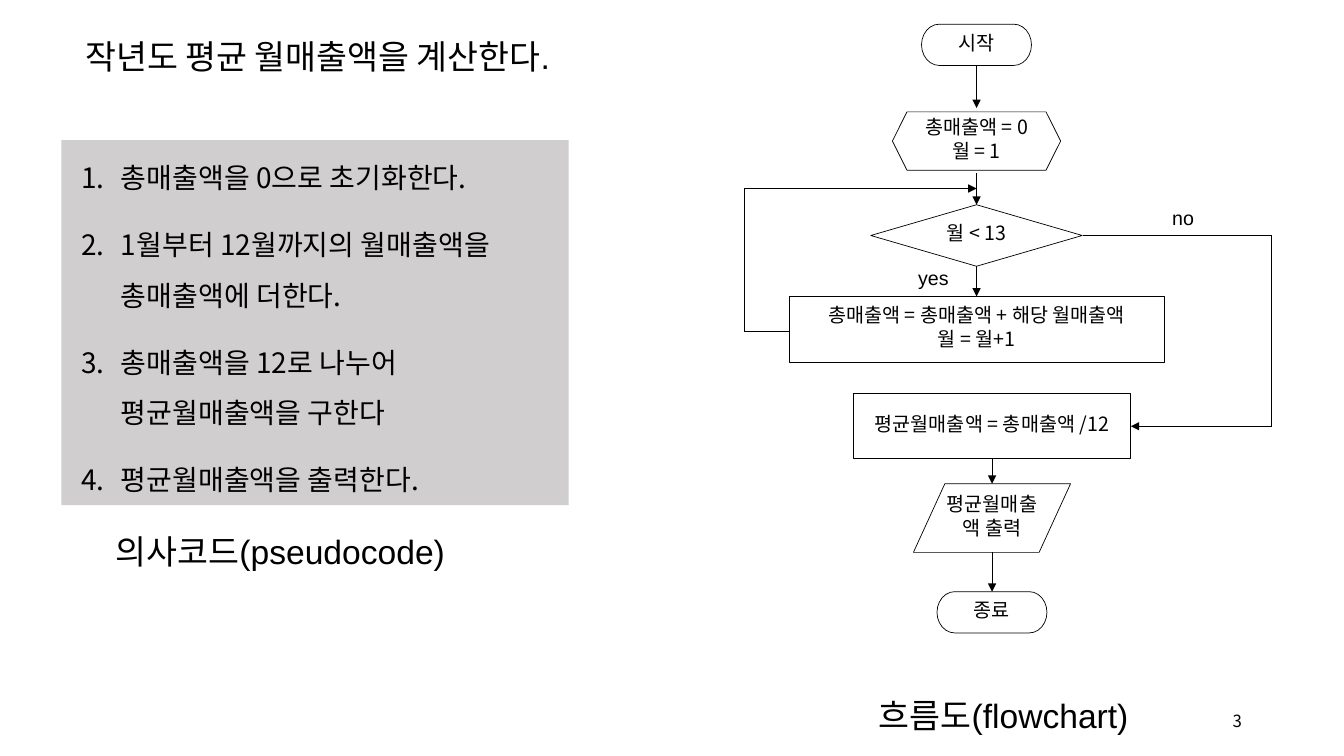
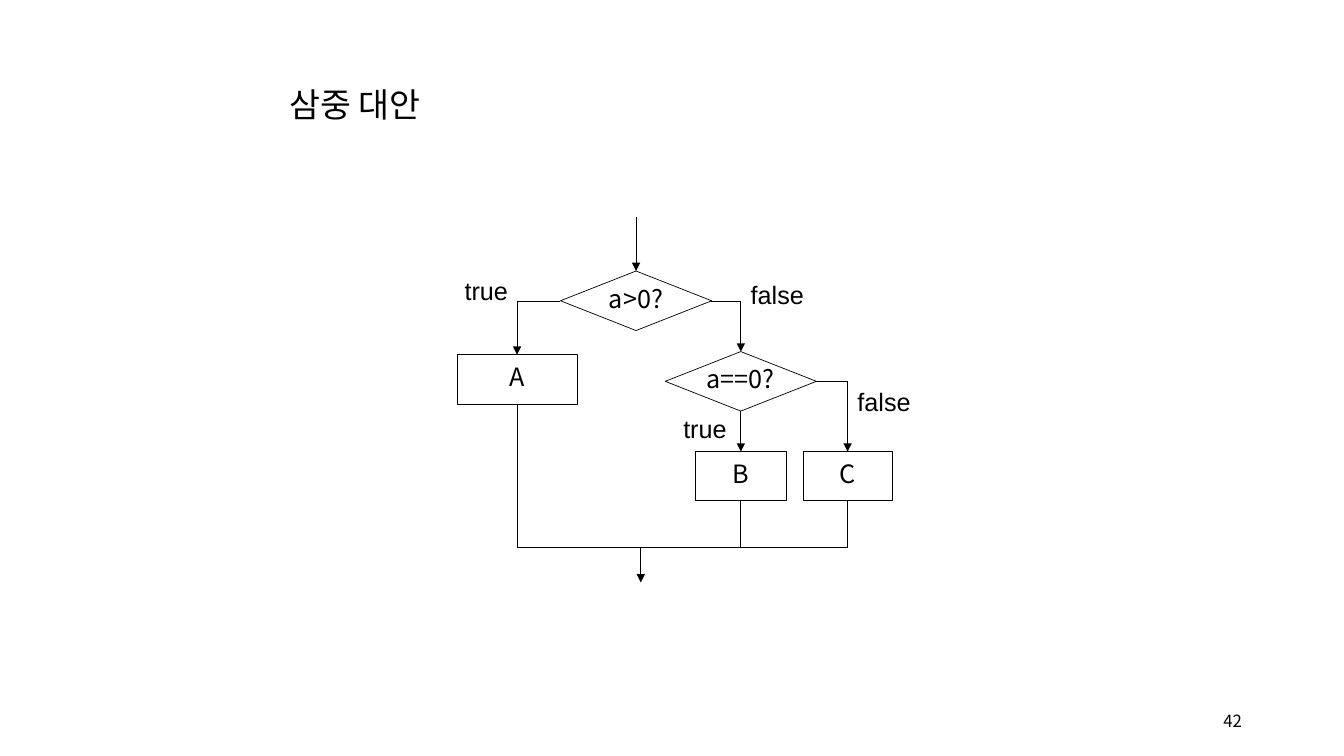
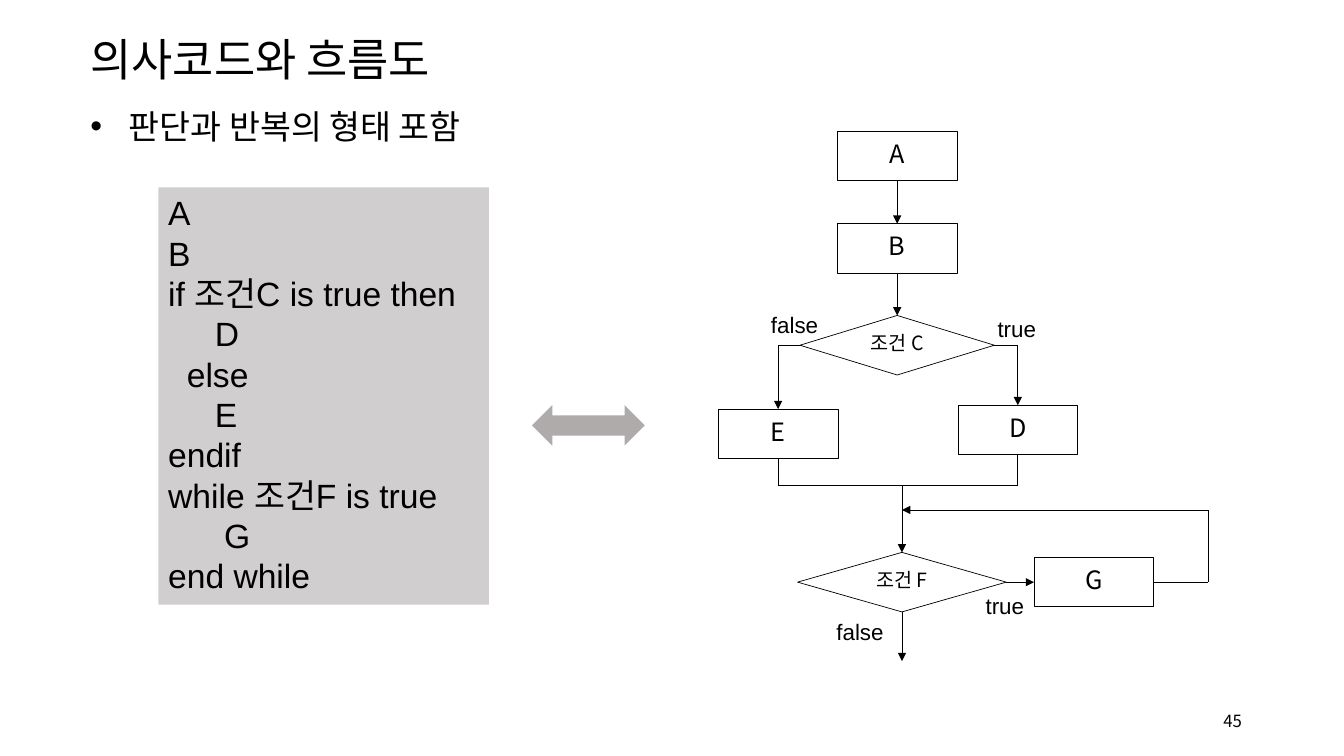
"""Build three slides on pseudocode and flowcharts."""
from itertools import pairwise

from lxml.etree import SubElement as Sub
from pptx import Presentation as Deck
from pptx.dml.color import RGBColor as Rgb
from pptx.enum.shapes import MSO_CONNECTOR as Link, MSO_SHAPE as Kind
from pptx.enum.text import MSO_ANCHOR as Anchor, MSO_AUTO_SIZE as Auto, PP_ALIGN as Align
from pptx.oxml.ns import qn
from pptx.util import Cm, Pt

BLACK = Rgb(0, 0, 0)
PALE = Rgb(0xD0, 0xCE, 0xCE)
GRAY = Rgb(0xAF, 0xAB, 0xAB)
ARIAL = "Arial"
NOTO = "Noto Sans CJK KR"
THIN = Pt(0.5)
TIGHT = dict(margin_left=0, margin_top=0, margin_right=0, margin_bottom=Cm(0.13),
             vertical_anchor=Anchor.MIDDLE, word_wrap=True)
LOOSE = dict(word_wrap=False, auto_size=Auto.SHAPE_TO_FIT_TEXT, vertical_anchor=Anchor.TOP)
STEPS = """총매출액을 0으로 초기화한다.
1월부터 12월까지의 월매출액을 총매출액에 더한다.
총매출액을 12로 나누어 평균월매출액을 구한다
평균월매출액을 출력한다."""
CODE = """A
B
if 조건C is true then
     D
  else
     E
endif
while 조건F is true
      G
end while"""


def fmt(item, **vals):
    """Set each named value on the item."""
    for name, val in vals.items():
        setattr(item, name, val)


def mark(para, left, hang, tag, **vals):
    """Give the paragraph a bullet or number with a hanging indent."""
    prop = para._p.get_or_add_pPr()
    prop.set("marL", str(Cm(left)))
    prop.set("indent", str(-Cm(hang)))
    Sub(prop, qn("a:buFont"), typeface=ARIAL)
    Sub(prop, qn(tag), **vals)


def put(frame, text, size, face, gap=None, **form):
    """Add the lines of text as paragraphs and return them."""
    paras = []
    for line in text.split("\n"):
        if frame.text:
            para = frame.add_paragraph()
            para.space_before = gap
        else:
            para = frame.paragraphs[0]
        fmt(para, **form)
        run = para.add_run()
        run.text = line
        fmt(run.font, size=Pt(size), name=face)
        run.font.color.rgb = BLACK
        Sub(run._r.get_or_add_rPr(), qn("a:ea"), typeface=NOTO)
        paras.append(para)
    return paras


def label(page, x, y, wide, high, text, size):
    """Add an unwrapped text box and return its frame."""
    frame = page.shapes.add_textbox(*map(Cm, (x, y, wide, high))).text_frame
    fmt(frame, **LOOSE)
    put(frame, text, size, ARIAL, line_spacing=1.5)
    return frame


def block(page, kind, x, y, wide, high, fill=None):
    """Add a filled shape without a line, or an outlined one without a fill."""
    shape = page.shapes.add_shape(kind, *map(Cm, (x, y, wide, high)))
    shape.shadow.inherit = False
    if fill:
        shape.fill.solid()
        shape.fill.fore_color.rgb = fill
        shape.line.fill.background()
    else:
        shape.fill.background()
        shape.line.color.rgb = BLACK
        shape.line.width = THIN
    return shape


def node(page, kind, mid, y, wide, high, text, size=14):
    """Add a flowchart node centred on the axis mid."""
    frame = block(page, kind, mid - wide / 2, y, wide, high).text_frame
    fmt(frame, **TIGHT)
    put(frame, text, size, NOTO, alignment=Align.CENTER)


def box(page, mid, y, text, wide=3.02):
    """Add a plain step box."""
    node(page, Kind.RECTANGLE, mid, y, wide, 1.24, text, 18)


def route(page, *stops, tip=True):
    """Join the stops with straight lines, the last one with an arrowhead."""
    for start, end in pairwise(stops):
        link = page.shapes.add_connector(Link.STRAIGHT, *map(Cm, (*start, *end)))
        link.line.color.rgb = BLACK
        link.line.width = THIN
        prop = link._element.spPr
        if tip and end == stops[-1]:
            Sub(prop.find(qn("a:ln")), qn("a:tailEnd"), type="triangle")
        Sub(prop, qn("a:effectLst"))


def down(page, x, *spans):
    """Draw downward arrows on the axis x."""
    for top, end in spans:
        route(page, (x, top), (x, end))


def start(deck, num):
    """Add a blank slide with its page number."""
    page = deck.slides.add_slide(deck.slide_layouts[6])
    frame = page.shapes.add_textbox(*map(Cm, (30.33, 17.65, 1.22, 1.02))).text_frame
    fmt(frame, word_wrap=True, vertical_anchor=Anchor.MIDDLE)
    put(frame, num, 12, NOTO, alignment=Align.RIGHT)
    return page


def sales(deck):
    """Build the monthly sales slide."""
    page = start(deck, "3")
    label(page, 1.9, 0.28, 13.67, 1.8, "작년도 평균 월매출액을 계산한다.", 24)
    label(page, 2.67, 12.75, 9.17, 1.8, "의사코드(pseudocode)", 24)
    label(page, 21.9, 16.87, 7.06, 1.8, "흐름도(flowchart)", 24)
    frame = block(page, Kind.RECTANGLE, 1.55, 3.53, 12.78, 9.2, PALE).text_frame
    fmt(frame, **TIGHT)
    for para in put(frame, STEPS, 20, NOTO, Pt(12), line_spacing=1.5, alignment=Align.LEFT):
        mark(para, 1.5, 1, "a:buAutoNum", type="arabicPeriod")

    main_x, out_x = 24.61, 25
    for spot in (
        (Kind.FLOWCHART_TERMINATOR, main_x, 0.61, 2.77, 1.04, "시작"),
        (Kind.HEXAGON, main_x, 2.82, 4.24, 1.47, "총매출액 = 0\n월 = 1"),
        (Kind.FLOWCHART_DECISION, main_x, 5.16, 5.33, 1.55, "월 < 13"),
        (Kind.FLOWCHART_PROCESS, main_x, 7.47, 9.45, 1.65,
         "총매출액 = 총매출액 + 해당 월매출액\n월 = 월+1"),
        (Kind.FLOWCHART_PROCESS, out_x, 9.91, 6.99, 1.65, "평균월매출액 = 총매출액 /12"),
        (Kind.FLOWCHART_DATA, out_x, 12.19, 3.96, 1.73, "평균월매출액 출력"),
        (Kind.FLOWCHART_TERMINATOR, out_x, 14.91, 2.77, 1.04, "종료"),
    ):
        node(page, *spot)
    down(page, main_x, (1.65, 2.72), (4.37, 5.16), (6.71, 7.47))
    down(page, out_x, (11.56, 12.19), (13.92, 14.91))
    route(page, (27.28, 5.93), (32.05, 5.93), (32.05, 10.74), (28.5, 10.74))
    route(page, (19.89, 8.35), (18.75, 8.35), (18.75, 4.75), (main_x, 4.75))
    label(page, 22.89, 6.27, 1.3, 1.14, "yes", 14)
    label(page, 29.29, 4.78, 1.07, 1.14, "no", 14)


def triple(deck):
    """Build the three-way choice slide."""
    page = start(deck, "42")
    label(page, 7.04, 1.47, 4.17, 1.8, "삼중 대안", 24)
    a_x, top_x, b_x, c_x = 13.03, 16.03, 18.67, 21.36
    join = 13.79
    box(page, a_x, 8.94, "A")
    box(page, b_x, 11.38, "B", 2.29)
    box(page, c_x, 11.38, "C", 2.24)
    for x, y, text in ((top_x, 6.83, "a>0?"), (b_x, 8.86, "a==0?")):
        node(page, Kind.FLOWCHART_DECISION, x, y, 3.81, 1.5, text, 18)
    down(page, top_x, (5.46, 6.83))
    down(page, b_x, (10.36, 11.38))
    down(page, 16.15, (join, 14.68))
    route(page, (14.12, 7.59), (a_x, 7.59), (a_x, 8.94))
    route(page, (17.93, 7.59), (b_x, 7.59), (b_x, 8.86))
    route(page, (20.56, 9.61), (c_x, 9.61), (c_x, 11.38))
    route(page, (a_x, 10.18), (a_x, join), (c_x, join), (c_x, 12.62), tip=False)
    route(page, (b_x, 12.62), (b_x, join), tip=False)
    for x, y, wide, text in (
        (11.46, 6.43, 1.63, "true"), (18.67, 6.53, 1.85, "false"),
        (16.97, 9.91, 1.63, "true"), (21.36, 9.22, 1.85, "false"),
    ):
        label(page, x, y, wide, 1.27, text, 18)


def pair(deck):
    """Build the slide that sets code beside its flowchart."""
    page = start(deck, "45")
    frame = label(page, 2.03, 0, 10.74, 3.84, "의사코드와 흐름도", 32)
    for para in put(frame, "판단과 반복의 형태 포함", 24, ARIAL, line_spacing=1.5):
        mark(para, 0.97, 0.97, "a:buChar", char="•")
    frame = block(page, Kind.RECTANGLE, 3.99, 4.72, 8.33, 10.52, PALE).text_frame
    fmt(frame, **LOOSE)
    put(frame, CODE, 24, ARIAL, alignment=Align.LEFT)
    block(page, Kind.LEFT_RIGHT_ARROW, 13.41, 10.21, 2.84, 1.02, GRAY)

    if_x, loop_x, e_x, d_x, g_x = 22.61, 22.73, 19.61, 25.65, 27.57
    join, back, far = 12.24, 12.85, 30.45
    for x, y, text in ((if_x, 3.3, "A"), (if_x, 5.64, "B"), (d_x, 10.21, "D"),
                       (e_x, 10.31, "E"), (g_x, 14.05, "G")):
        box(page, x, y, text)
    node(page, Kind.FLOWCHART_DECISION, if_x, 7.95, 4.9, 1.5, "조건 C")
    node(page, Kind.FLOWCHART_DECISION, loop_x, 13.92, 5.26, 1.5, "조건 F")
    down(page, if_x, (4.54, 5.64), (6.88, 7.95))
    down(page, loop_x, (join, 13.92), (15.42, 16.66))
    route(page, (20.16, 8.71), (e_x, 8.71), (e_x, 10.31))
    route(page, (25.06, 8.71), (d_x, 8.71), (d_x, 10.21))
    route(page, (e_x, 11.55), (e_x, join), (d_x, join), (d_x, 11.45), tip=False)
    route(page, (25.36, 14.67), (26.06, 14.67))
    route(page, (29.08, 14.67), (far, 14.67), (far, back), (loop_x, back))
    for x, y, wide, text in (
        (19.18, 7.37, 1.73, "false"), (24.89, 7.47, 1.5, "true"),
        (20.83, 15.11, 1.73, "false"), (24.59, 14.45, 1.5, "true"),
    ):
        label(page, x, y, wide, 1.27, text, 16)


def main():
    """Build and save the deck."""
    deck = Deck()
    fmt(deck, slide_width=Cm(33.87), slide_height=Cm(19.05))
    for build in (sales, triple, pair):
        build(deck)
    deck.save("out.pptx")


if __name__ == "__main__":
    main()
